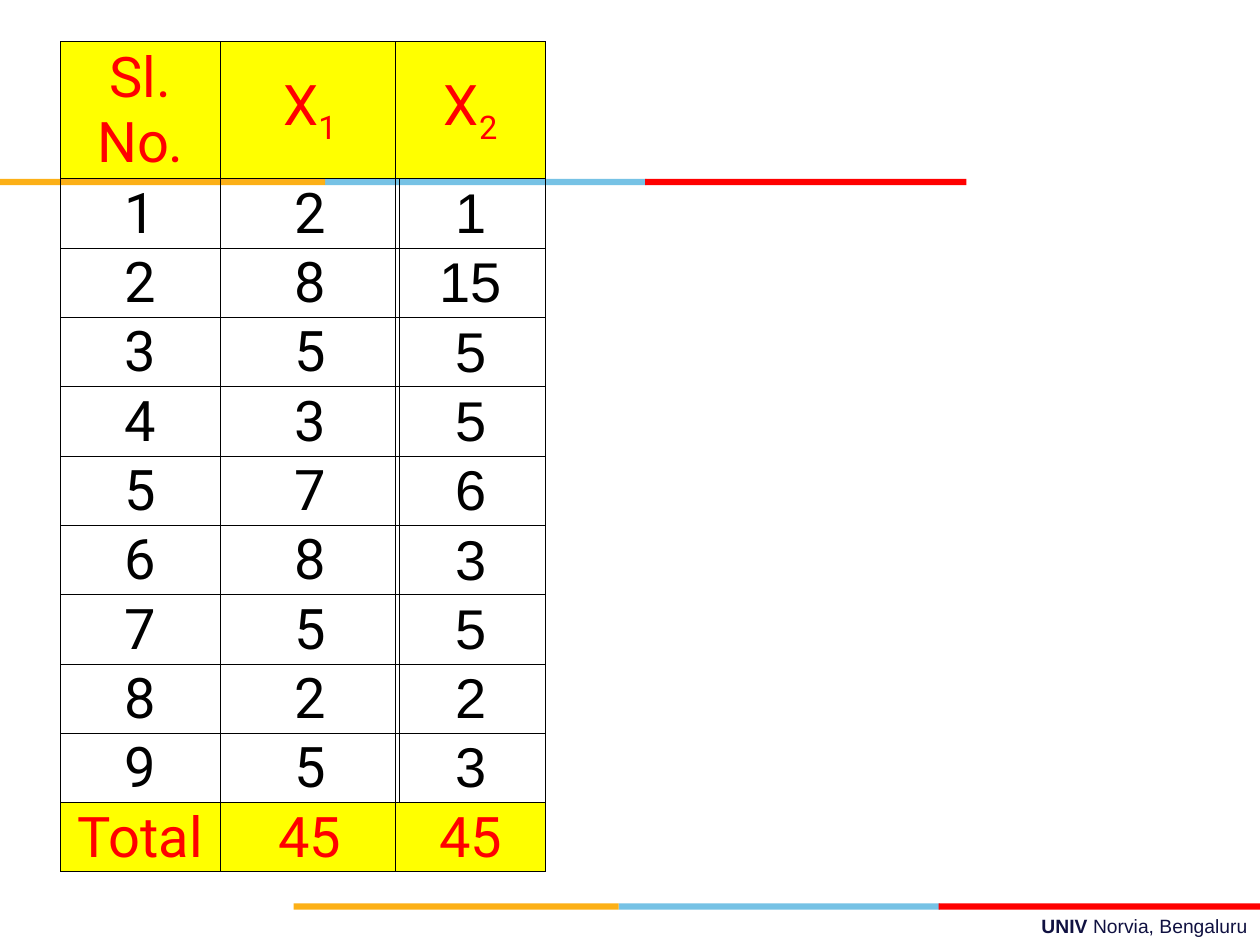
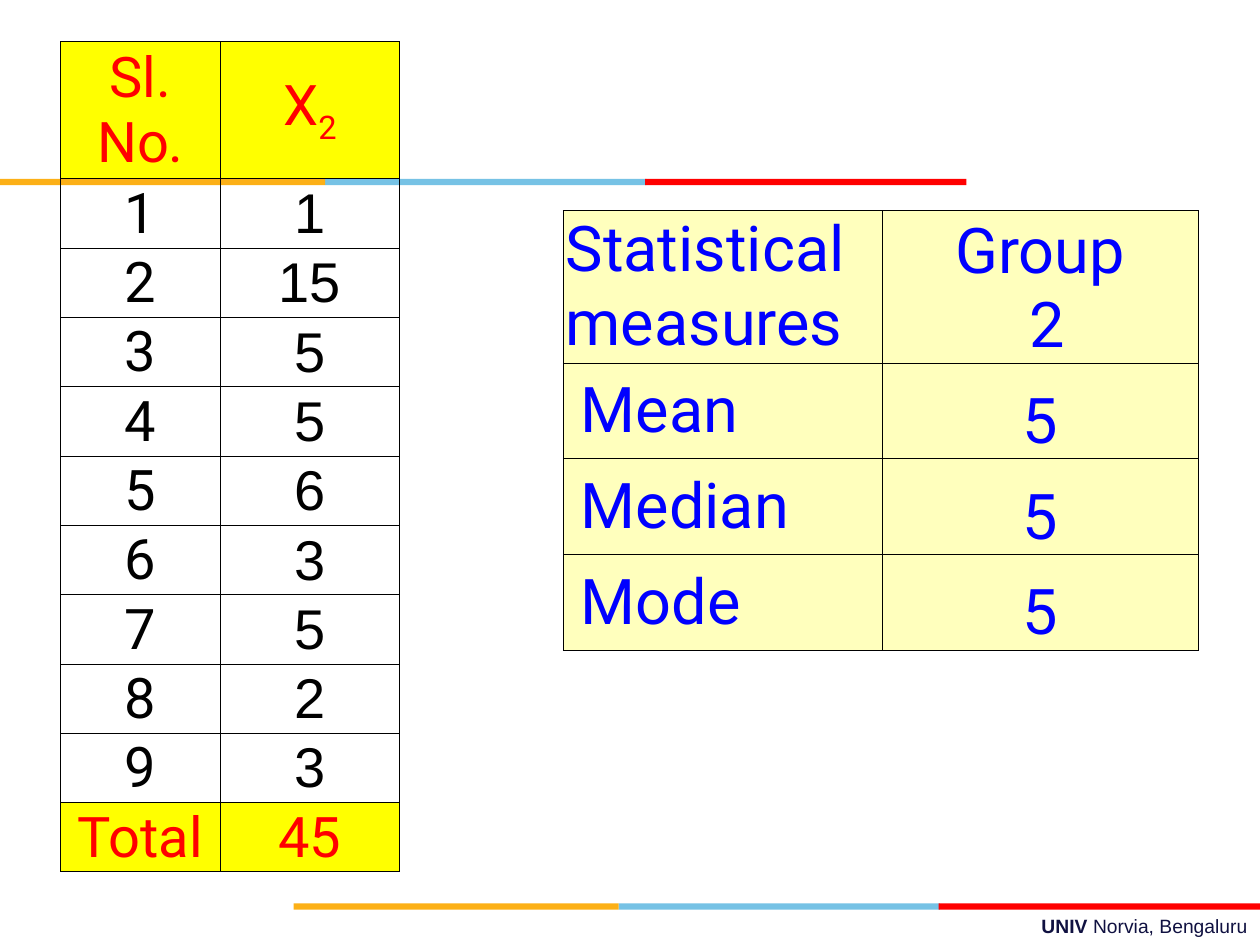
from dataclasses import dataclass

import pptx
import pptx.dml.color
import pptx.enum.shapes
import pptx.enum.text
import pptx.oxml
import pptx.oxml.ns
import pptx.util

Inches = pptx.util.Inches
Pt = pptx.util.Pt
Align = pptx.enum.text.PP_ALIGN
Anchor = pptx.enum.text.MSO_ANCHOR

COLORS = {
    "orange": "FCB017", "sky": "76C2E5", "red": "FF0000", "navy": "101141",
    "yellow": "FFFF00", "cream": "FFFFBD", "blue": "0000FF", "black": "000000",
}
HEAD_FONT, BODY_FONT = "Roboto", "Arial"
BAND_HEIGHT = 0.05
LINE_WIDTH = Pt(0.5)
SPACE = Inches(0.12)


@dataclass(frozen=True)
class Style:
    size: int
    color: str
    font: str = HEAD_FONT
    fill: str | None = None
    align: Align = Align.CENTER
    anchor: Anchor = Anchor.MIDDLE


@dataclass(frozen=True)
class Segment:
    color: str
    left: float
    width: float


@dataclass(frozen=True)
class Column:
    """A data column; a subscript follows its heading."""
    heading: str
    subscript: str
    values: tuple[int, ...]
    total: str
    width: float
    font: str


SEGMENTS = (Segment("sky", 2.58, 2.55), Segment("orange", 0, 2.58), Segment("red", 5.12, 2.55))
BANDS = ((2.33, 7.17), (0, 1.42))

HIGHLIGHT = Style(32, "red", fill="yellow")
LABEL = Style(36, "blue", fill="cream", align=Align.LEFT)
RESULT = Style(36, "blue", fill="cream", anchor=Anchor.BOTTOM)

GROUP_1 = (2, 8, 5, 3, 7, 8, 5, 2, 5)
GROUP_2 = (1, 15, 5, 5, 6, 3, 5, 2, 3)
SERIAL = Column("Sl. No.", "", tuple(range(1, 10)), "Total", 1.27, HEAD_FONT)
X1 = Column("X", "1", GROUP_1, str(sum(GROUP_1)), 1.42, HEAD_FONT)
X2 = Column("X", "2", GROUP_2, str(sum(GROUP_2)), 1.42, BODY_FONT)
X2_NARROW = Column("X", "2", GROUP_2, str(sum(GROUP_2)), 1.19, BODY_FONT)


def rgb(name: str) -> pptx.dml.color.RGBColor:
    return pptx.dml.color.RGBColor.from_string(COLORS[name])


def set_font(font, name: str, size: int, color: str) -> None:
    font.name, font.size = name, Pt(size)
    font.color.rgb = rgb(color)


def add_footer(slide) -> None:
    sp = slide.shapes.add_textbox(Inches(3.58), Inches(7.21), Inches(6.42), Inches(0.29))
    sp.text_frame.word_wrap = True
    p = sp.text_frame.paragraphs[0]
    p.alignment = Align.RIGHT
    set_font(p.font, BODY_FONT, 11, "navy")
    for text, bold in (("UNIV ", True), ("Norvia, Bengaluru", False)):
        r = p.add_run()
        r.text, r.font.bold = text, bold


def add_bands(slide) -> None:
    for left, top in BANDS:
        for segment in SEGMENTS:
            sp = slide.shapes.add_shape(
                pptx.enum.shapes.MSO_SHAPE.RECTANGLE, Inches(left + segment.left),
                Inches(top), Inches(segment.width), Inches(BAND_HEIGHT))
            sp.shadow.inherit = False
            sp.fill.solid()
            sp.fill.fore_color.rgb = rgb(segment.color)
            sp.line.fill.background()


def add_borders(cell) -> None:
    tcPr = cell._tc.get_or_add_tcPr()
    for i, side in enumerate(("lnL", "lnR", "lnT", "lnB")):
        tcPr.insert(i, pptx.oxml.parse_xml(
            f'<a:{side} {pptx.oxml.ns.nsdecls("a")} w="{LINE_WIDTH}"><a:solidFill>'
            f'<a:srgbClr val="{COLORS["black"]}"/></a:solidFill></a:{side}>'))


def write_cell(cell, text: str, style: Style, subscript: str = "", indent: bool = False) -> None:
    """Fill one cell; indent shifts its last line by a space's width."""
    cell.margin_left = cell.margin_right = Inches(0.02)
    cell.margin_top, cell.margin_bottom = Inches(0.01), 0
    cell.vertical_anchor = style.anchor
    if style.fill:
        cell.fill.solid()
        cell.fill.fore_color.rgb = rgb(style.fill)
    else:
        cell.fill.background()
    add_borders(cell)

    tf = cell.text_frame
    tf.text = text
    for p in tf.paragraphs:
        p.alignment = style.align
        set_font(p.font, style.font, style.size, style.color)
    if subscript:
        r = p.add_run()
        r.text = subscript
        r.font._element.set("baseline", "-25000")
    if indent:
        p._p.get_or_add_pPr().set("marL", str(SPACE))


def add_plain_table(slide, left: float, top: float, widths: list[float], heights: list[float]):
    """Add a table without any built-in style."""
    frame = slide.shapes.add_table(
        len(heights), len(widths), Inches(left), Inches(top),
        Inches(sum(widths)), Inches(sum(heights)))
    table = frame.table
    table.first_row = table.horz_banding = False
    tblPr = table._tbl.tblPr
    for style_id in tblPr.findall(pptx.oxml.ns.qn("a:tableStyleId")):
        tblPr.remove(style_id)
    for column, width in zip(table.columns, widths):
        column.width = Inches(width)
    for row, height in zip(table.rows, heights):
        row.height = Inches(height)
    return table


def add_data_table(slide, left: float, *columns: Column) -> None:
    heights = [1.09] + [0.55] * (len(GROUP_1) + 1)
    table = add_plain_table(slide, left, 0.33, [c.width for c in columns], heights)
    for x, column in enumerate(columns):
        write_cell(table.cell(0, x), column.heading, HIGHLIGHT, column.subscript)
        for y, value in enumerate(column.values, 1):
            write_cell(table.cell(y, x), str(value), Style(32, "black", column.font))
        write_cell(table.cell(len(heights) - 1, x), column.total, HIGHLIGHT)


def add_measures_table(slide) -> None:
    rows = (("Statistical measures", "Group\n2"), ("Mean", "5"), ("Median", "5"), ("Mode", "5"))
    table = add_plain_table(slide, 4.47, 1.67, [2.53, 2.51], [1.19] + [0.76] * 3)
    for y, (label, result) in enumerate(rows):
        write_cell(table.cell(y, 0), label, LABEL, indent=y > 0)
        write_cell(table.cell(y, 1), result, RESULT, indent=y == 0)


def add_base_slide(prs):
    slide = prs.slides.add_slide(prs.slide_layouts[6])
    add_footer(slide)
    add_bands(slide)
    return slide


def main() -> None:
    prs = pptx.Presentation()
    prs.slide_width, prs.slide_height = Inches(10), Inches(7.5)

    both_groups = add_base_slide(prs)
    add_data_table(both_groups, 0.48, SERIAL, X1)
    add_data_table(both_groups, 3.14, X2_NARROW)

    group_2 = add_base_slide(prs)
    add_data_table(group_2, 0.48, SERIAL, X2)
    add_measures_table(group_2)

    prs.save("out.pptx")


if __name__ == "__main__":
    main()
